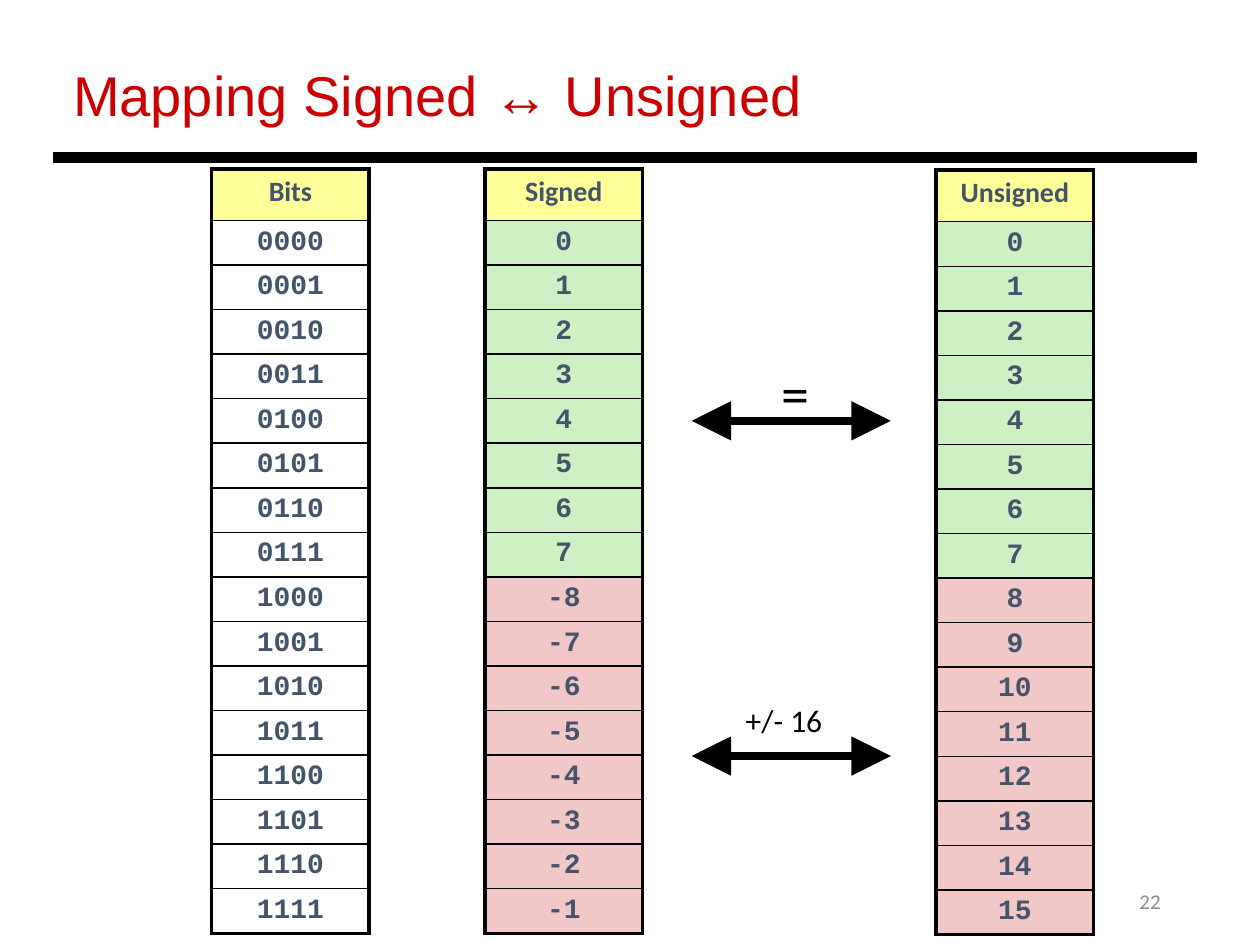
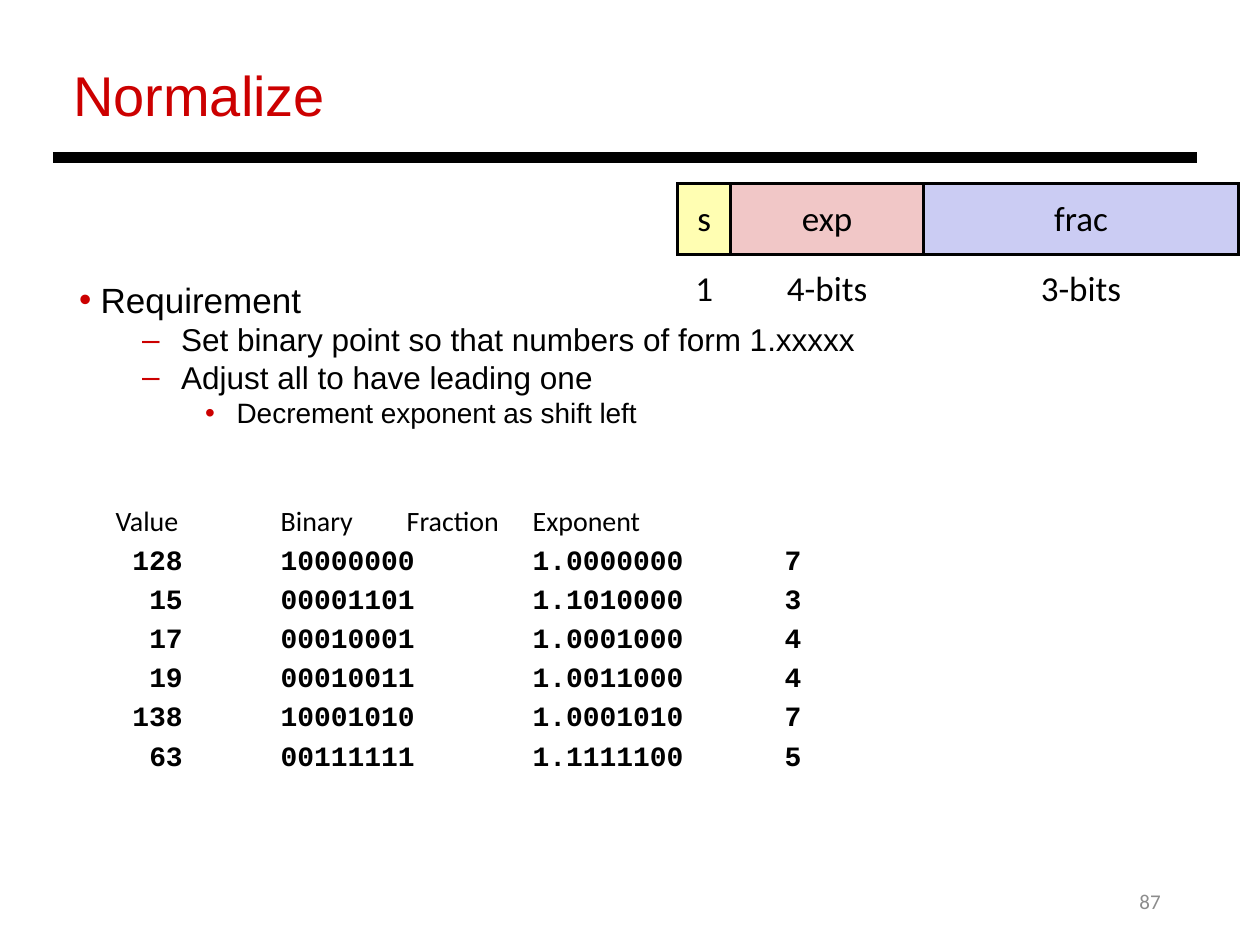
import pptx
import pptx.dml.color
import pptx.enum.shapes
import pptx.enum.text
import pptx.oxml
import pptx.oxml.ns
import pptx.util
from lxml import etree

COLORS = {
    "title": "CC0000", "ink": "000000", "number": "8C8C8C", "slate": "44546A",
    "header": "FFFF99", "green": "CDF1C5", "red": "F1C7C7",
    "sign": "FFFEB2", "frac": "CBCCF3",
}
PP_ALIGN = pptx.enum.text.PP_ALIGN
MIDDLE = pptx.enum.text.MSO_ANCHOR.MIDDLE
TOP = pptx.enum.text.MSO_ANCHOR.TOP
STRAIGHT = pptx.enum.shapes.MSO_CONNECTOR.STRAIGHT
NO_STYLE = "{2D5ABB26-0587-4C30-8999-92F81FD0307C}"
qn = pptx.oxml.ns.qn

prs = pptx.Presentation()
prs.slide_width = pptx.util.Inches(10)
prs.slide_height = pptx.util.Inches(7.5)
COL = prs.slide_width / 10
ROW = prs.slide_height / 7.5


def at(left, top, width, height):
    return [round(left * COL), round(top * ROW), round(width * COL), round(height * ROW)]


def put(tf, text, font="Calibri", size=16, color="ink", bold=False, align=PP_ALIGN.LEFT,
        before=0, spacing=None, bullet=None, margin=0, indent=0):
    p = tf.paragraphs[0]
    if p.runs:
        p = tf.add_paragraph()
    p.alignment = align
    p.space_before = pptx.util.Pt(before)
    if spacing:
        p.line_spacing = spacing
    pPr = p._p.get_or_add_pPr()
    pPr.set("marL", str(round(margin * COL)))
    pPr.set("indent", str(round(indent * COL)))
    pPr.set("defTabSz", str(round(COL)))
    if bullet:
        buClr = etree.SubElement(pPr, qn("a:buClr"))
        etree.SubElement(buClr, qn("a:srgbClr"), val=COLORS["title"])
        etree.SubElement(pPr, qn("a:buFont"), typeface="Arial")
        etree.SubElement(pPr, qn("a:buChar"), char=bullet)
    else:
        etree.SubElement(pPr, qn("a:buNone"))
    r = p.add_run()
    r.text = text
    r.font.name = font
    r.font.size = pptx.util.Pt(size)
    r.font.bold = bold
    r.font.color.rgb = pptx.dml.color.RGBColor.from_string(COLORS[color])


for title, width, number in [("Mapping Signed ↔ Unsigned", 6.03, "22"), ("Normalize", 2.22, "87")]:
    s = prs.slides.add_slide(prs.slide_layouts[5])
    sp = s.shapes.title
    sp.left, sp.top, sp.width, sp.height = at(0.48, 0.43, width, 0.64)
    tf = sp.text_frame
    tf.word_wrap = False
    tf.auto_size = pptx.enum.text.MSO_AUTO_SIZE.NONE
    tf.vertical_anchor = TOP
    put(tf, title, font="Arial", size=32, color="title")

    rule = s.shapes.add_connector(STRAIGHT, *at(0.42, 1.25, 9.5, 1.25))
    rule.line.width = pptx.util.Pt(6)

    tf = s.shapes.add_textbox(*at(7.06, 6.95, 2.25, 0.4)).text_frame
    tf.word_wrap = True
    tf.vertical_anchor = MIDDLE
    put(tf, number, size=12, color="number", align=PP_ALIGN.RIGHT)

mapping, normalize = prs.slides

heights = [0.41] + [5.66 / 16] * 16
halves = [["header"]] + [["green"]] * 8 + [["red"]] * 8
plain = [["header"]] + [[None]] * 16
bits = [["Bits"]] + [[f"{n:04b}"] for n in range(16)]
signed = [["Signed"]] + [[str(n if n < 8 else n - 16)] for n in range(16)]
unsigned = [["Unsigned"]] + [[str(n)] for n in range(16)]
number_look = dict(color="slate", bold=True, spacing=0.95)
number_style = (TOP, 0.05, 2.25, 1, 17, number_look)
field_style = (MIDDLE, 0.06, 2, 2, 1, dict(size=20))

tables = [
    (mapping, 1.68, 1.34, [1.25], heights, bits, plain, number_style),
    (mapping, 3.85, 1.34, [1.25], heights, signed, halves, number_style),
    (mapping, 7.43, 1.35, [1.25], heights, unsigned, halves, number_style),
    (normalize, 5.38, 1.46, [0.42, 1.53, 2.5], [0.56, 0.56],
     [["s", "exp", "frac"], ["1", "4-bits", "3-bits"]],
     [["sign", "red", "frac"], [None] * 3], field_style),
]
for s, left, top, widths, row_heights, rows, fills, style in tables:
    anchor, inset, outer, inner, boxed, look = style
    frame = s.shapes.add_table(len(rows), len(widths),
                               *at(left, top, sum(widths), sum(row_heights)))
    tbl = frame.table
    tbl.first_row = tbl.horz_banding = False
    tbl._tbl.tblPr.find(qn("a:tableStyleId")).text = NO_STYLE
    for column, width in zip(tbl.columns, widths):
        column.width = round(width * COL)
    for i, height in enumerate(row_heights):
        tbl.rows[i].height = round(height * ROW)
        edges = {"L": outer, "R": outer, "T": inner if i else outer,
                 "B": outer if i == len(rows) - 1 else inner}
        if i >= boxed:
            edges = {"T": inner}
        for j, text in enumerate(rows[i]):
            cell = tbl.cell(i, j)
            cell.vertical_anchor = anchor
            cell.margin_left = cell.margin_right = round(inset * COL)
            cell.margin_top = cell.margin_bottom = round(inset * ROW)
            tcPr = cell._tc.get_or_add_tcPr()
            for side, weight in edges.items():
                ln = etree.SubElement(tcPr, qn("a:ln" + side), w=str(pptx.util.Pt(weight)))
                fill = etree.SubElement(ln, qn("a:solidFill"))
                etree.SubElement(fill, qn("a:srgbClr"), val=COLORS["ink"])
            if fills[i][j]:
                cell.fill.solid()
                cell.fill.fore_color.rgb = pptx.dml.color.RGBColor.from_string(COLORS[fills[i][j]])
            else:
                cell.fill.background()
            font = "Courier New" if s == mapping and i else "Calibri"
            put(cell.text_frame, text, font=font, align=PP_ALIGN.CENTER, **look)

arrows = []
for y in (3.34, 6):
    arrow = mapping.shapes.add_connector(STRAIGHT, *at(7.07, y, 5.49, y))
    arrow.line.width = pptx.util.Pt(4.5)
    arrows.append(arrow)

tf = mapping.shapes.add_textbox(*at(6.15, 2.8, 0.32, 0.64)).text_frame
tf.word_wrap = False
tf.margin_left = tf.margin_right = tf.margin_top = tf.margin_bottom = round(0.05 * COL)
put(tf, "=", size=32, align=PP_ALIGN.CENTER)

tf = mapping.shapes.add_textbox(*at(5.82, 5.46, 1, 0.51)).text_frame
tf.word_wrap = True
tf.vertical_anchor = MIDDLE
put(tf, "+/- 16", size=18)

tf = normalize.shapes.add_textbox(*at(0.53, 2.16, 8.97, 4.38)).text_frame
tf.word_wrap = True
put(tf, "Requirement", font="Arial", size=20, bullet="•", margin=0.17, indent=-0.17)
for text in ["Set binary point so that numbers of form 1.xxxxx", "Adjust all to have leading one"]:
    put(tf, text, font="Arial", size=18, bullet="–", margin=0.81, indent=-0.31)
put(tf, "Decrement exponent as shift left", font="Arial", bullet="•", margin=1.25, indent=-0.25)
put(tf, "Value\tBinary\tFraction\tExponent", before=42, margin=0.6, indent=-0.31)
DIGIT = 0.6 * 16 / 72
for value, binary, fraction, exponent in [
    ("128", "10000000", "1.0000000", "7"),
    ("15", "00001101", "1.1010000", "3"),
    ("17", "00010001", "1.0001000", "4"),
    ("19", "00010011", "1.0011000", "4"),
    ("138", "10001010", "1.0001010", "7"),
    ("63", "00111111", "1.1111100", "5"),
]:
    put(tf, "\t".join([value, binary, fraction, exponent]), font="Courier New", bold=True,
        before=3.2, margin=0.6, indent=DIGIT * (4 - len(value)) - 0.31)

for s in prs.slides:
    for sp in s.shapes:
        if sp.shape_type == pptx.enum.shapes.MSO_SHAPE_TYPE.LINE:
            sp.line.color.rgb = pptx.dml.color.RGBColor.from_string(COLORS["ink"])
            etree.SubElement(sp._element.spPr, qn("a:effectLst"))
for arrow in arrows:
    ln = arrow.line._get_or_add_ln()
    for end in ("a:headEnd", "a:tailEnd"):
        etree.SubElement(ln, qn(end), type="triangle", w="lg", len="lg")

prs.save("out.pptx")
